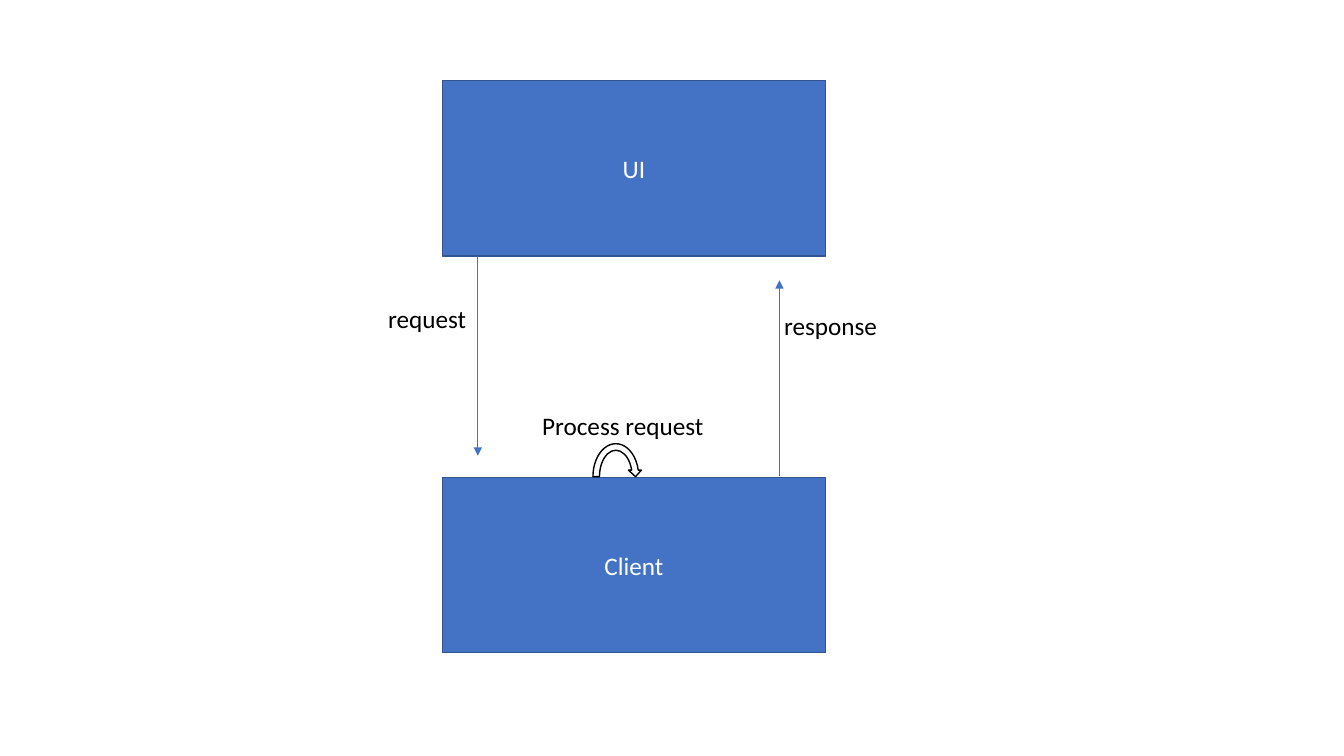
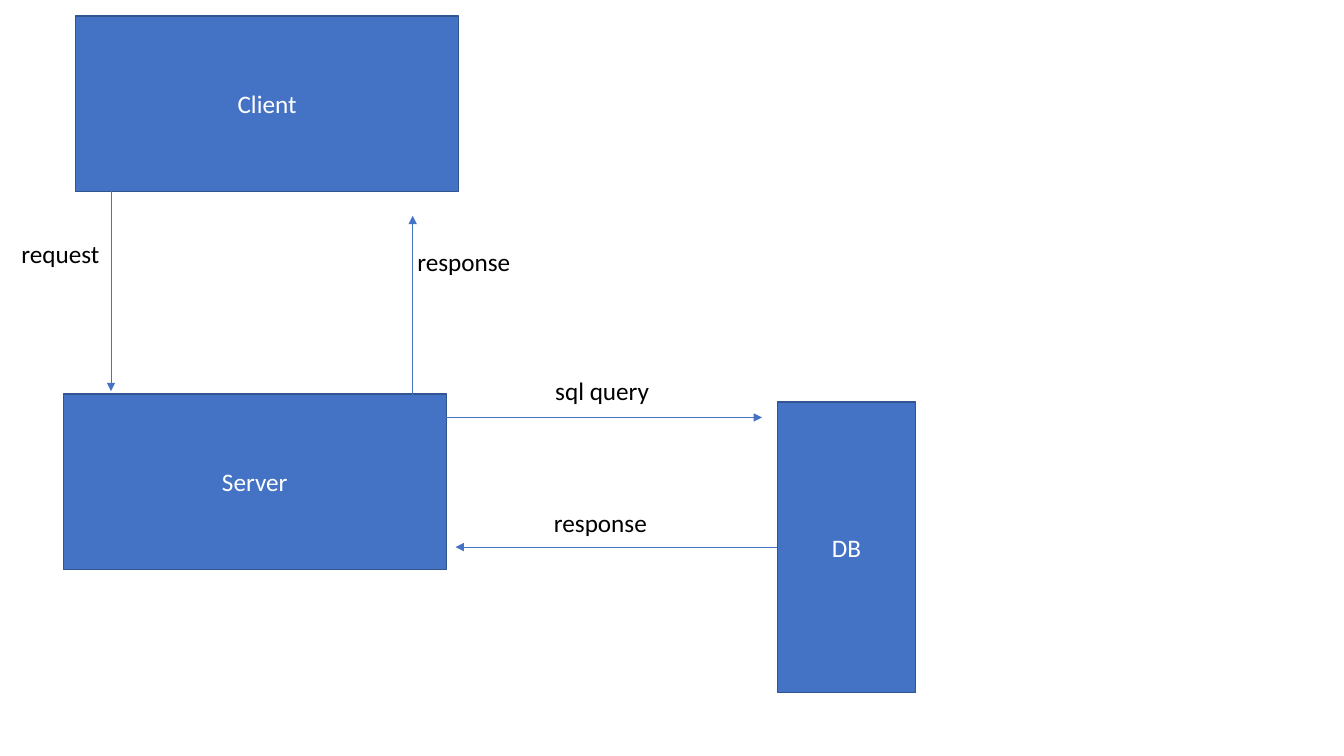
"""Two request and response flow diagrams."""
from dataclasses import dataclass

from pptx import Presentation
from pptx.dml.color import RGBColor as Rgb
from pptx.enum import shapes as kinds, text as txt
from pptx.oxml.ns import qn
from pptx.util import Pt
from lxml import etree


@dataclass(frozen=True)
class Theme:
    """Colours, type and line widths shared by the slides."""
    blue: Rgb = Rgb(0x44, 0x72, 0xC4)
    edge: Rgb = Rgb(0x32, 0x54, 0x91)
    white: Rgb = Rgb(255, 255, 255)
    black: Rgb = Rgb(0, 0, 0)
    font: str = "Calibri"
    size: float = 18
    border: float = 1
    thin: float = 0.5


@dataclass(frozen=True)
class Box:
    """A named part of the system, in points."""
    name: str
    x: float
    y: float
    w: float = 273.6
    h: float = 125.3


@dataclass(frozen=True)
class Arrow:
    """A straight arrow from one point to another."""
    x1: float
    y1: float
    x2: float
    y2: float


@dataclass(frozen=True)
class Label:
    """A caption beside an arrow."""
    words: str
    x: float
    y: float
    w: float = 82.8
    h: float = 29.1


THEME = Theme()


def style(para, words: str, color: Rgb) -> None:
    """Fill a paragraph with text in the shared type."""
    para.text = words
    para.font.name = THEME.font
    para.font.size = Pt(THEME.size)
    para.font.color.rgb = color


def add_form(slide, kind, x: float, y: float, w: float, h: float,
             fill: Rgb, edge: Rgb):
    """Add a flat, outlined preset shape."""
    form = slide.shapes.add_shape(kind, Pt(x), Pt(y), Pt(w), Pt(h))
    form.shadow.inherit = False
    form.fill.solid()
    form.fill.fore_color.rgb = fill
    form.line.color.rgb = edge
    form.line.width = Pt(THEME.border)
    return form


def add_box(slide, box: Box) -> None:
    """Draw a blue box with a centred name."""
    form = add_form(slide, kinds.MSO_SHAPE.RECTANGLE, box.x, box.y,
                    box.w, box.h, THEME.blue, THEME.edge)
    frame = form.text_frame
    frame.vertical_anchor = txt.MSO_ANCHOR.MIDDLE
    para = frame.paragraphs[0]
    para.alignment = txt.PP_ALIGN.CENTER
    style(para, box.name, THEME.white)


def add_arrow(slide, arrow: Arrow) -> None:
    """Draw a thin line with a triangle at its end."""
    line = slide.shapes.add_connector(
        kinds.MSO_CONNECTOR.STRAIGHT, Pt(arrow.x1), Pt(arrow.y1),
        Pt(arrow.x2), Pt(arrow.y2))
    line.line.color.rgb = THEME.blue
    line.line.width = Pt(THEME.thin)
    tip = etree.SubElement(line.line._get_or_add_ln(), qn("a:tailEnd"))
    tip.set("type", "triangle")
    etree.SubElement(line._element.spPr, qn("a:effectLst"))


def add_label(slide, label: Label) -> None:
    """Draw a black caption."""
    area = slide.shapes.add_textbox(Pt(label.x), Pt(label.y),
                                    Pt(label.w), Pt(label.h))
    frame = area.text_frame
    frame.word_wrap = True
    frame.auto_size = txt.MSO_AUTO_SIZE.SHAPE_TO_FIT_TEXT
    style(frame.paragraphs[0], label.words, THEME.black)


def add_pair(slide, top: Box, base: Box) -> None:
    """Draw two boxes with a request going down and a response going up."""
    add_box(slide, base)
    add_box(slide, top)
    x, y = top.x, top.y
    add_arrow(slide, Arrow(x + 25.3, y + top.h, x + 25.3, y + 268))
    add_arrow(slide, Arrow(x + 240.8, y + 282.4, x + 240.8, y + 142.7))
    add_label(slide, Label("request", x - 45.8, y + 155.6))
    add_label(slide, Label("response", x + 237, y + 160.7))


def draw_ui(slide) -> None:
    """Draw the flow between the UI and the client."""
    add_pair(slide, Box("UI", 316, 57.5), Box("Client", 316, 341))
    add_form(slide, kinds.MSO_SHAPE.CIRCULAR_ARROW, 421.2, 314.6, 37.4, 51.8,
             THEME.white, THEME.black)
    add_label(slide, Label("Process request", 380.2, 289.4, 133.2))


def draw_db(slide) -> None:
    """Draw the flow from the client through the server to the database."""
    server = Box("Server", 45.2, 281.4)
    store = Box("DB", 555.2, 287.2, 98.8, 207.4)
    add_pair(slide, Box("Client", 54, 11.4), server)
    add_box(slide, store)
    add_arrow(slide, Arrow(server.x + server.w, 298.2, 544.3, 298.2))
    add_label(slide, Label("sql query", 389.5, 264.5))
    add_arrow(slide, Arrow(store.x, 390.8, 325.4, 390.8))
    add_label(slide, Label("response", 388.6, 358.6))


def main() -> None:
    """Build and save the deck."""
    deck = Presentation()
    deck.slide_width, deck.slide_height = Pt(960), Pt(540)
    for draw in (draw_ui, draw_db):
        draw(deck.slides.add_slide(deck.slide_layouts[6]))
    deck.save("out.pptx")


main()
